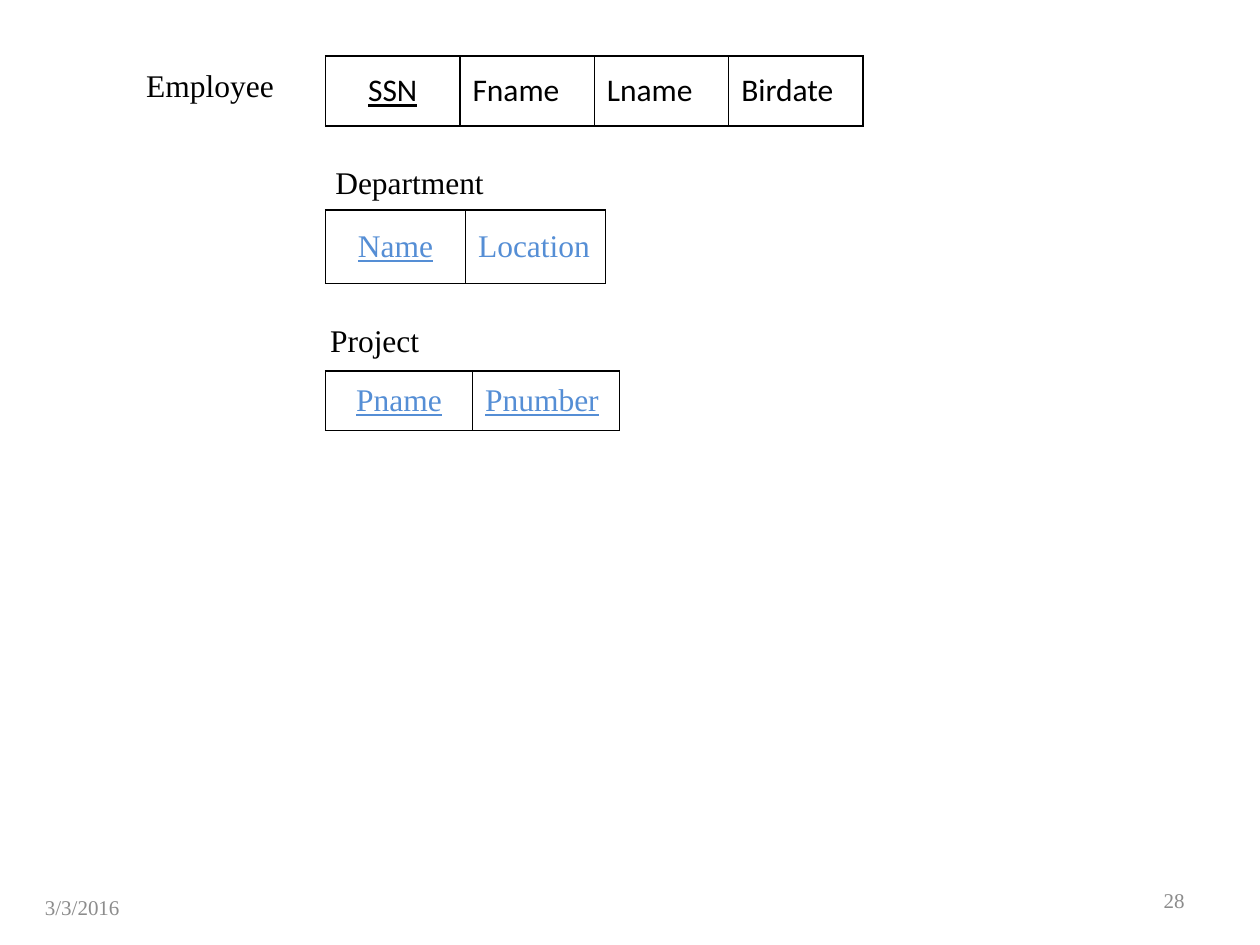
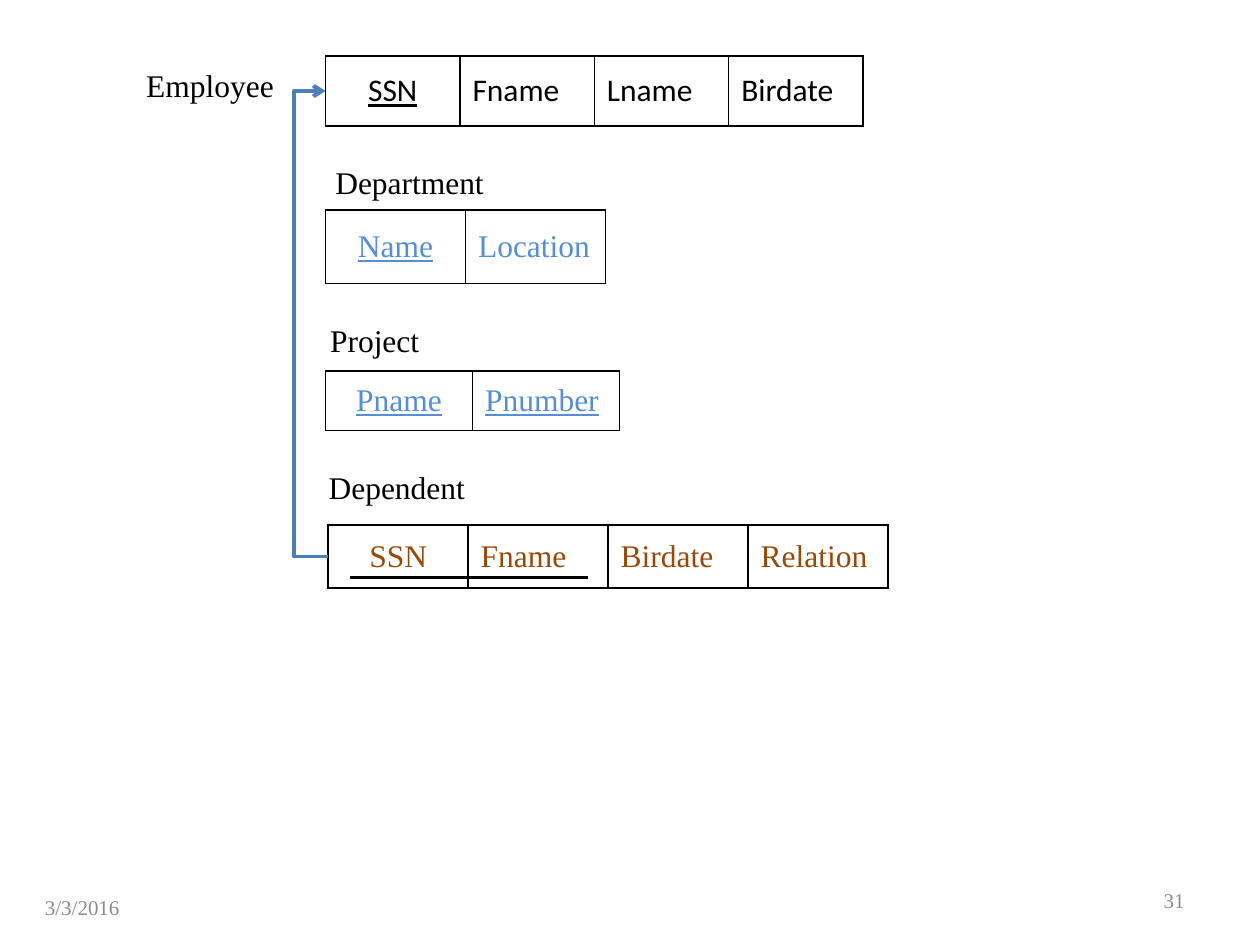
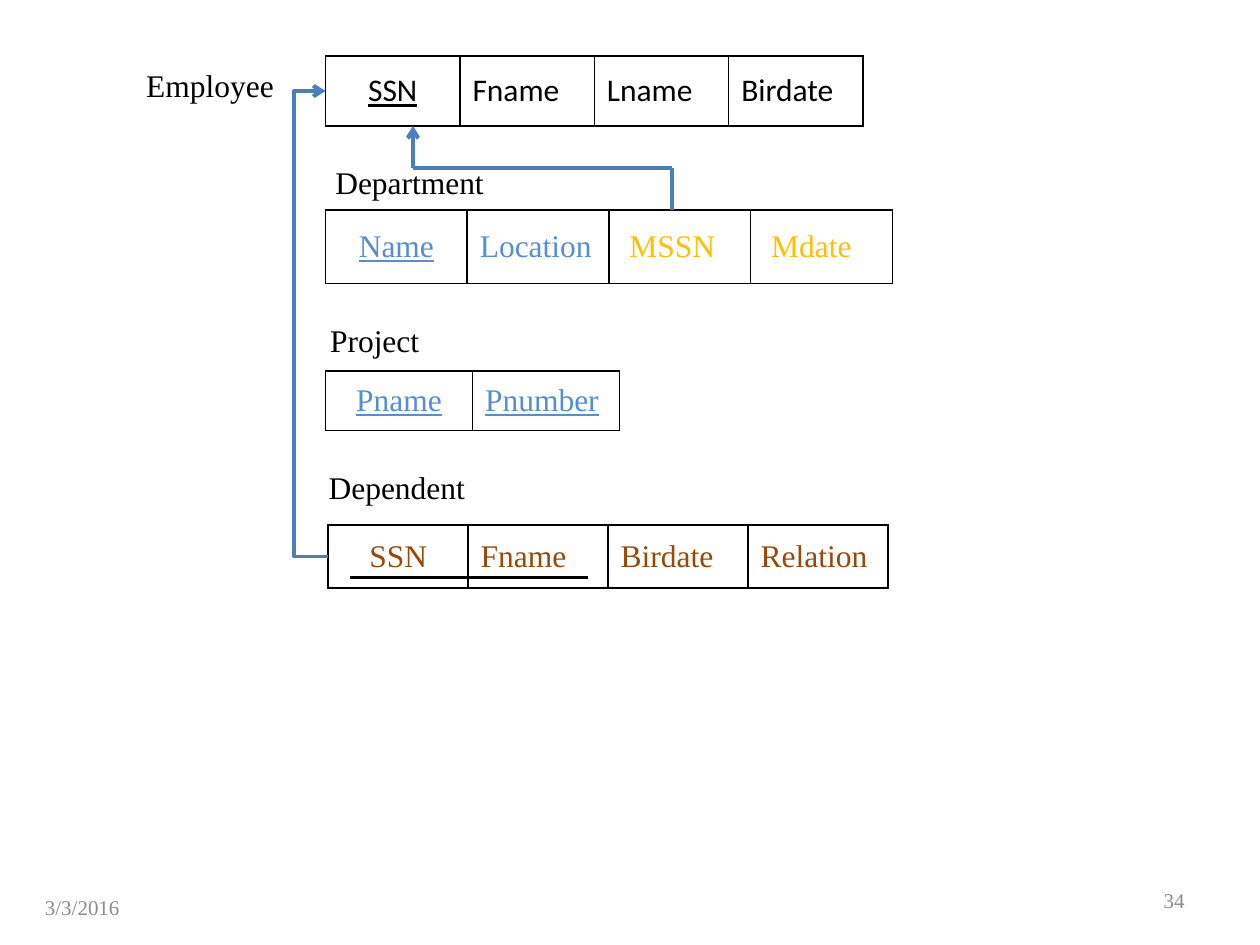
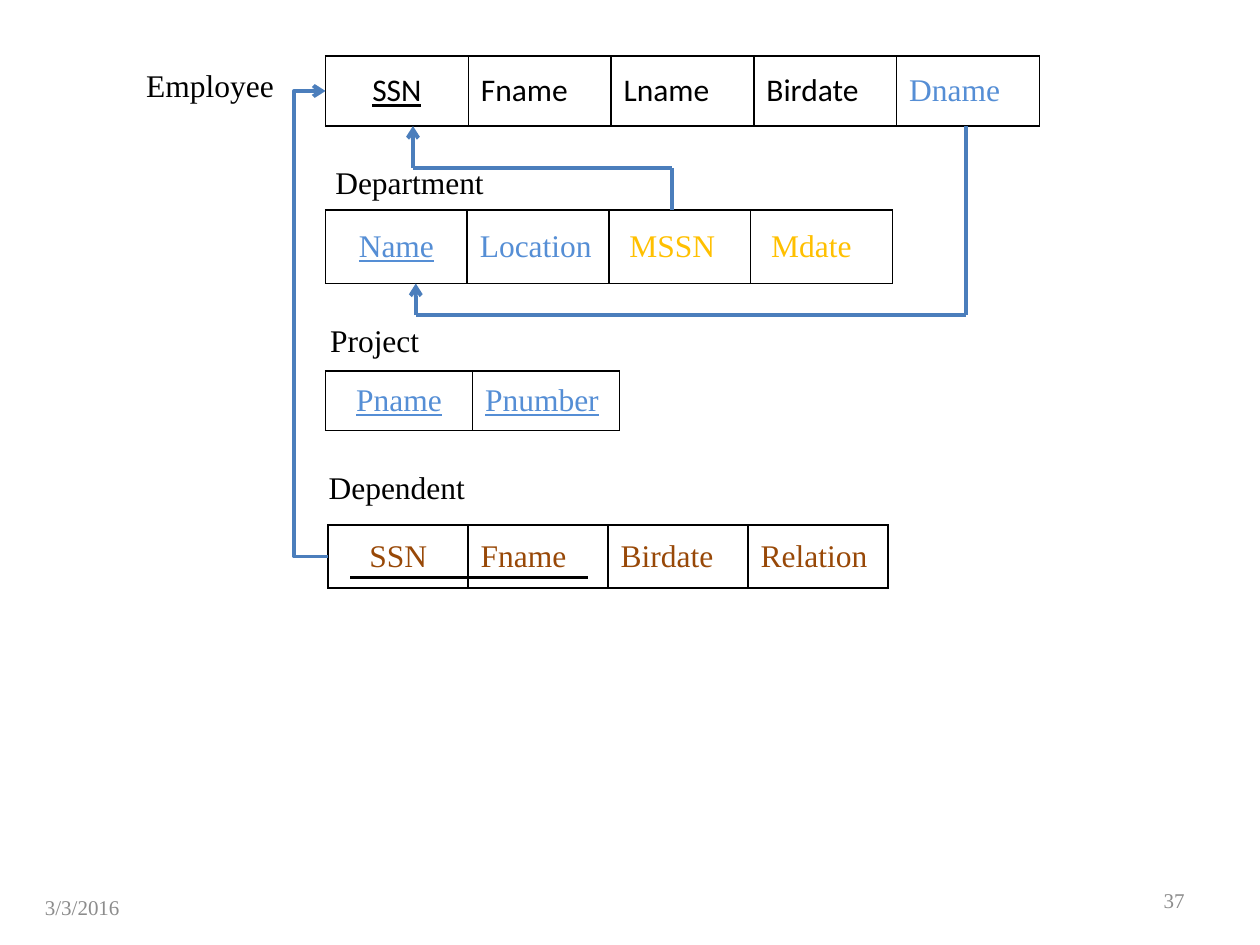
from itertools import pairwise

from pptx import Presentation
from pptx.dml.color import RGBColor
from pptx.enum.shapes import MSO_CONNECTOR
from pptx.enum.text import MSO_ANCHOR, MSO_AUTO_SIZE, PP_ALIGN
from pptx.oxml import parse_xml
from pptx.oxml.ns import nsdecls, qn
from pptx.util import Pt

SERIF, SANS = "Times New Roman", "Calibri"
BLACK, GRAY, BLUE = "000000", "8C8C8C", "558ED5"
BROWN, GOLD, LINK = "984807", "FFC000", "4B7EBC"

# Table boxes: left, top, width, height
EMPLOYEE = (186, 32, 307.2, 40)
EMPLOYEE_WIDE = (186, 32, 408, 40)
DEPARTMENT = (186, 120, 160, 42)
DEPARTMENT_WIDE = (186, 120, 324, 42)
PROJECT = (186, 212, 168, 34)
DEPENDENT = (187.5, 300, 320, 36)

# Columns: text, colour, font, underlined
EMPLOYEE_COLS = [("SSN", BLACK, SANS, True)] + [
    (name, BLACK, SANS, False) for name in ("Fname", "Lname", "Birdate")]
DNAME_COL = ("Dname", BLUE, SERIF, False)
DEPARTMENT_COLS = [("Name", BLUE, SERIF, True), ("Location", BLUE, SERIF, False)]
MANAGER_COLS = [(name, GOLD, SERIF, False) for name in (" MSSN", " Mdate")]
PROJECT_COLS = [(name, BLUE, SERIF, True) for name in ("Pname", "Pnumber")]
DEPENDENT_COLS = [(name, BROWN, SERIF, False)
                  for name in ("SSN", "Fname", "Birdate", "Relation")]


def rgb(color):
    return RGBColor.from_string(color)


def format_text(tf, size, color, font=SERIF, underline=False, align=PP_ALIGN.LEFT):
    p = tf.paragraphs[0]
    p.alignment = align
    for r in p.runs:
        r.font.size = Pt(size)
        r.font.name = font
        r.font.color.rgb = rgb(color)
        r.font.underline = underline


def add_text(s, text, x, y, w, h=28.8, size=18, color=BLACK, align=PP_ALIGN.LEFT):
    tf = s.shapes.add_textbox(Pt(x), Pt(y), Pt(w), Pt(h)).text_frame
    tf.word_wrap = True
    tf.text = text
    format_text(tf, size, color, align=align)
    return tf


def set_borders(cell):
    tcPr = cell._tc.get_or_add_tcPr()
    for i, side in enumerate(("lnL", "lnR", "lnT", "lnB")):
        tcPr.insert(i, parse_xml(
            f'<a:{side} {nsdecls("a")} w="12700"><a:solidFill>'
            f'<a:srgbClr val="{BLACK}"/></a:solidFill></a:{side}>'))


def add_entity(s, box, columns, title, dx, dy, title_w=112):
    """One-row table with its title placed at an offset from the table."""
    x, y, w, h = box
    table = s.shapes.add_table(1, len(columns), Pt(x), Pt(y), Pt(w), Pt(h)).table
    table.first_row = table.horz_banding = False
    table.rows[0].height = Pt(h)
    for i, (text, color, font, underline) in enumerate(columns):
        table.columns[i].width = Pt(w / len(columns))
        cell = table.cell(0, i)
        cell.fill.background()
        set_borders(cell)
        cell.vertical_anchor = MSO_ANCHOR.MIDDLE
        cell.text_frame.text = text
        format_text(cell.text_frame, 18, color, font, underline,
                    PP_ALIGN.LEFT if i else PP_ALIGN.CENTER)
    tf = add_text(s, title, x + dx, y + dy, title_w)
    tf.auto_size = MSO_AUTO_SIZE.SHAPE_TO_FIT_TEXT


def add_line(s, start, end, color=LINK, width=2.25, arrow=False,
             kind=MSO_CONNECTOR.STRAIGHT):
    line = s.shapes.add_connector(kind, *(Pt(v) for v in (*start, *end)))
    line.line.color.rgb = rgb(color)
    line.line.width = Pt(width)
    if arrow:
        line.line._get_or_add_ln().append(
            parse_xml(f'<a:tailEnd {nsdecls("a")} type="arrow"/>'))
    line._element.spPr.append(parse_xml(f'<a:effectLst {nsdecls("a")}/>'))
    return line


def add_route(s, points):
    """Chain of straight lines with an arrowhead on the last one."""
    for start, end in pairwise(points):
        add_line(s, start, end, arrow=end == points[-1])


def add_key_route(s, source, target, x_from, x_to, y_bend, upward):
    """Foreign key from one table edge to the bottom edge of another."""
    x1, x2 = source[0] + x_from, target[0] + x_to
    y1 = source[1] if upward else source[1] + source[3]
    y2 = target[1] + target[3]
    add_route(s, [(x1, y1), (x1, y_bend), (x2, y_bend), (x2, y2)])


def add_dependent(s):
    x, y, w, h = DEPENDENT
    add_entity(s, DEPENDENT, DEPENDENT_COLS, "Dependent", -6.8, -36)
    # Shared underline of the two-part key
    add_line(s, (x + 148.5, y + 30), (x + 12.5, y + 30), BLACK, 1.5)


def add_owner_link(s):
    """Elbow from Dependent round the left side to Employee."""
    target = (EMPLOYEE[0], EMPLOYEE[1] + EMPLOYEE[3] / 2)
    source = (DEPENDENT[0], DEPENDENT[1] + DEPENDENT[3] / 2)
    # Half a turn makes the path run from the lower to the upper end
    elbow = add_line(s, target, source, arrow=True, kind=MSO_CONNECTOR.ELBOW)
    spPr = elbow._element.spPr
    spPr.find(qn("a:xfrm")).set("rot", "10800000")
    spPr.find(qn("a:prstGeom")).get_or_add_avLst().append(parse_xml(
        f'<a:gd {nsdecls("a")} name="adj1" fmla="val 1300000"/>'))


def add_footer(s, number):
    date = add_text(s, "3/3/2016", 18.6, 504, 168, size=12, color=GRAY)
    page = add_text(s, number, 516, 500, 168, size=12, color=GRAY,
                    align=PP_ALIGN.RIGHT)
    for tf in (date, page):
        tf.vertical_anchor = MSO_ANCHOR.MIDDLE


def add_schema_slide(prs, number, dependent=False, manager=False, works_in=False):
    s = prs.slides.add_slide(prs.slide_layouts[6])
    add_footer(s, number)

    # Tables
    employee = EMPLOYEE_WIDE if works_in else EMPLOYEE
    department = DEPARTMENT_WIDE if manager else DEPARTMENT
    add_entity(s, employee, EMPLOYEE_COLS + [DNAME_COL] * works_in,
               "Employee", -109.5, 2, 102)
    add_entity(s, department, DEPARTMENT_COLS + MANAGER_COLS * manager,
               "Department", -1.5, -30.5)
    add_entity(s, PROJECT, PROJECT_COLS, "Project", -4.5, -32)

    # Foreign keys
    if dependent:
        add_dependent(s)
    if manager:
        add_key_route(s, department, employee, 198, 50, 96, upward=True)
    if dependent:
        add_owner_link(s)
    if works_in:
        add_key_route(s, employee, department, 366, 51.6, 180, upward=False)


def main():
    prs = Presentation()
    prs.slide_width, prs.slide_height = Pt(720), Pt(540)
    add_schema_slide(prs, "28")
    add_schema_slide(prs, "31", dependent=True)
    add_schema_slide(prs, "34", dependent=True, manager=True)
    add_schema_slide(prs, "37", dependent=True, manager=True, works_in=True)
    prs.save("out.pptx")


if __name__ == "__main__":
    main()
